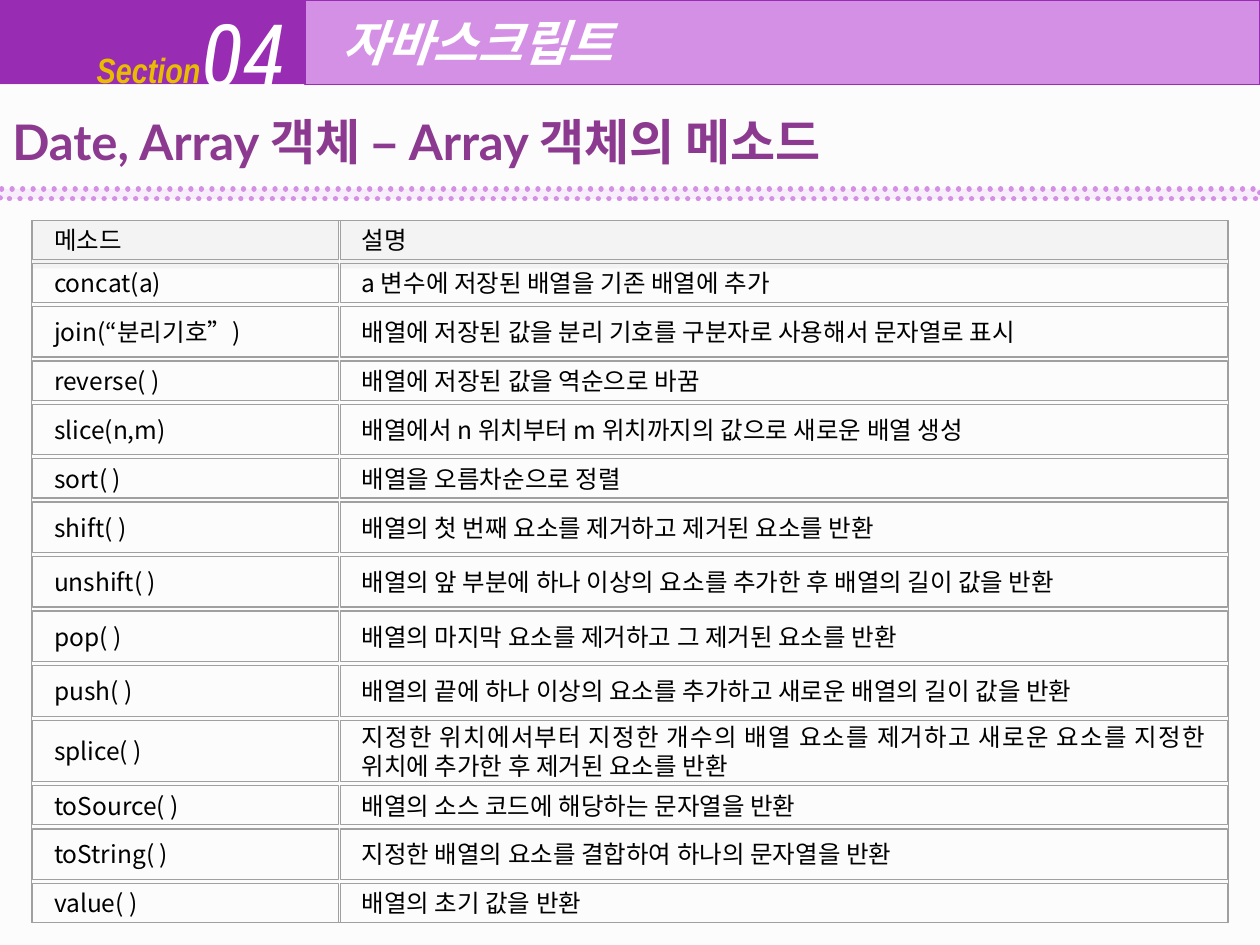
from lxml import etree
from pptx import Presentation
from pptx.dml.color import RGBColor
from pptx.enum.dml import MSO_LINE
from pptx.enum.shapes import MSO_SHAPE
from pptx.enum.text import MSO_ANCHOR, MSO_AUTO_SIZE, PP_ALIGN
from pptx.oxml.ns import qn
from pptx.util import Cm, Pt

# Content
TITLE = "Date, Array 객체 – Array 객체의 메소드"
TOPIC = "자바스크립트"
LABEL, NUMBER = "Section", "04"
ROWS = [  # method, meaning, row size
    ("메소드", "설명", "low"),
    ("concat(a)", "a 변수에 저장된 배열을 기존 배열에 추가", "low"),
    ("join(“분리기호”)", "배열에 저장된 값을 분리 기호를 구분자로 사용해서 문자열로 표시", "mid"),
    ("reverse( )", "배열에 저장된 값을 역순으로 바꿈", "low"),
    ("slice(n,m)", "배열에서 n 위치부터 m 위치까지의 값으로 새로운 배열 생성", "mid"),
    ("sort( )", "배열을 오름차순으로 정렬", "low"),
    ("shift( )", "배열의 첫 번째 요소를 제거하고 제거된 요소를 반환", "mid"),
    ("unshift( )", "배열의 앞 부분에 하나 이상의 요소를 추가한 후 배열의 길이 값을 반환", "mid"),
    ("pop( )", "배열의 마지막 요소를 제거하고 그 제거된 요소를 반환", "mid"),
    ("push( )", "배열의 끝에 하나 이상의 요소를 추가하고 새로운 배열의 길이 값을 반환", "mid"),
    ("splice( )", "지정한 위치에서부터 지정한 개수의 배열 요소를 제거하고 "
     "새로운 요소를 지정한 위치에 추가한 후 제거된 요소를 반환", "tall"),
    ("toSource( )", "배열의 소스 코드에 해당하는 문자열을 반환", "low"),
    ("toString( )", "지정한 배열의 요소를 결합하여 하나의 문자열을 반환", "mid"),
    ("value( )", "배열의 초기 값을 반환", "low"),
]

# Look
HEX = {"deep": "982CB2", "light": "D490E4", "pale": "F8EDFB", "title": "8C3A90",
       "gold": "E8BC00", "white": "FFFFFF", "black": "000000", "page": "FBFBFD",
       "head": "F3F3F3", "grid": "A0A0A0"}
FONTS = {
    "label": {"name": "Arial Narrow", "size": Pt(20), "bold": True, "italic": True},
    "number": {"name": "Roboto Condensed", "size": Pt(50), "italic": True},
    "topic": {"name": "Lato", "size": Pt(28), "bold": True, "italic": True},
    "title": {"name": "Lato", "size": Pt(28), "bold": True},
    "cell": {"name": "Noto Sans CJK KR", "size": Pt(14)},
}
COLS = [(0.66, 6.17), (6.86, 17.88)]  # left, width
HIGH = {"low": 0.79, "mid": 1.02, "tall": 1.24}
TOP, GAP = 4.44, 0.08
WIDE, TALL, BAR, SPLIT = 25.4, 19.05, 1.7, 6.15


def color(key):
    return RGBColor.from_string(HEX[key])


def write(shape, text, font, ink, align=PP_ALIGN.LEFT, **frame):
    body = shape.text_frame
    body.text = text
    looks = {"word_wrap": True, "auto_size": MSO_AUTO_SIZE.NONE,
             "vertical_anchor": MSO_ANCHOR.MIDDLE,
             "margin_left": Cm(0.25), "margin_right": Cm(0.25),
             "margin_top": Cm(0.13), "margin_bottom": Cm(0.13)}
    for name, value in {**looks, **frame}.items():
        setattr(body, name, value)
    line = body.paragraphs[0]
    line.alignment = align
    run = line.runs[0]
    for name, value in FONTS[font].items():
        setattr(run.font, name, value)
    run.font.color.rgb = color(ink)


def place(shape, box):
    for name, value in zip(("left", "top", "width", "height"), box):
        setattr(shape, name, Cm(value))


def rect(slide, box, fill=None, edge=None, width=0.75):
    shape = slide.shapes.add_shape(MSO_SHAPE.RECTANGLE, *map(Cm, box))
    shape.shadow.inherit = False
    if fill:
        shape.fill.solid()
        shape.fill.fore_color.rgb = color(fill)
    else:
        shape.fill.background()
    if edge:
        shape.line.color.rgb = color(edge)
        shape.line.width = Pt(width)
    else:
        shape.line.fill.background()
    return shape


def banner(slide):
    rect(slide, (0, 0, SPLIT, BAR), "deep")
    for text, box, font, ink in (
            (LABEL, (1.7, 0.64, 4.01, 1.52), "label", "gold"),
            (NUMBER, (3.81, 0, 2.54, 2.11), "number", "white")):
        write(slide.shapes.add_textbox(*map(Cm, box)), text, font, ink)
    # Half-transparent page tint
    page = rect(slide, (0, BAR, WIDE, TALL - BAR), "page")
    tint = page.element.spPr.find(qn("a:solidFill"))[0]
    etree.SubElement(tint, qn("a:alpha"), val="50000")
    topic = rect(slide, (SPLIT, 0, WIDE - SPLIT, BAR), "light", "deep")
    write(topic, TOPIC, "topic", "white", margin_left=Cm(0.75))


def grid(slide):
    # Heading tint reaches a little below its row
    for left, width in COLS:
        rect(slide, (left, TOP, width, 0.97), "head")
    top = TOP
    for *texts, size in ROWS:
        for (left, width), text in zip(COLS, texts):
            cell = rect(slide, (left, top, width, HIGH[size]), None, "grid", 0)
            write(cell, text, "cell", "black", PP_ALIGN.JUSTIFY,
                  margin_left=Cm(0.43), margin_right=Cm(0.43))
        top += HIGH[size] + GAP
    rect(slide, (0.64, TOP, 24.13, top - GAP - TOP), None, "grid")


def heading(slide):
    title = slide.shapes.title
    title.element.getparent().append(title.element)
    place(title, (0, 2.11, 24.77, 1.45))
    write(title, TITLE, "title", "title", vertical_anchor=MSO_ANCHOR.TOP)
    # Dotted strip under the title
    strip = rect(slide, (0, 3.81, WIDE, 0.2), "pale", "light", 3)
    strip.line.dash_style = MSO_LINE.ROUND_DOT
    strip.element.spPr.find(qn("a:ln")).set("cap", "rnd")


def main():
    deck = Presentation()
    deck.slide_width, deck.slide_height = Cm(WIDE), Cm(TALL)
    slide = deck.slides.add_slide(deck.slide_layouts[5])
    banner(slide)
    grid(slide)
    heading(slide)
    deck.save("out.pptx")


if __name__ == "__main__":
    main()
